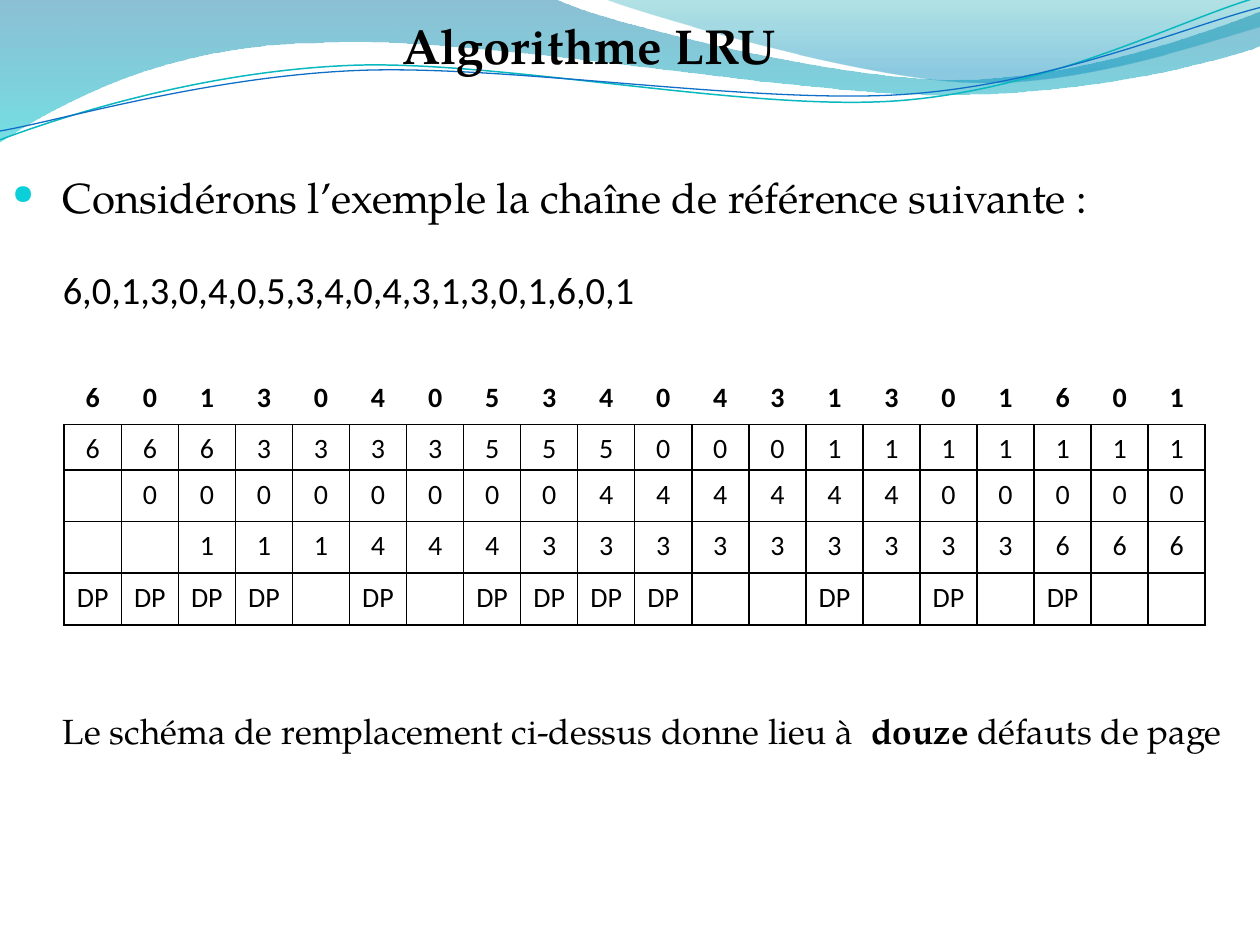
from dataclasses import dataclass

from lxml.etree import SubElement
from pptx import Presentation
from pptx.dml.color import RGBColor
from pptx.enum.text import MSO_ANCHOR, MSO_AUTO_SIZE, PP_ALIGN
from pptx.oxml.ns import qn
from pptx.util import Inches, Pt


@dataclass(frozen=True)
class Theme:
    """Colours, fonts and type sizes of the deck."""
    ink: str = "000000"
    bullet: str = "0BD0D9"
    teal_line: str = "0AB8BF"
    blue_line: str = "0F6FC6"
    left_wave: tuple = ((0, "0074A1", 45), (1, "00C6CF", 55))
    right_wave: tuple = ((0, "00A1A9", 30), (0.8, "008BBF", 45))
    serif: str = "TeX Gyre Pagella"
    sans: str = "Calibri"
    title_size: int = 28
    lead_size: int = 24
    string_size: int = 22
    note_size: int = 20
    cell_size: int = 16


LEFT_WAVE = [
    (0, -0.01), (4.4, -0.01),
    (4.76, 0.17, 6.64, 0.63, 7.58, 0.63), (8.53, 0.63, 9.58, 0.26, 10, 0.09),
    (10.01, 0.36),
    (9.83, 0.44, 8.7, 0.76, 7.46, 0.75), (6.22, 0.75, 3.82, 0.28, 2.57, 0.34),
    (1.29, 0.35, 0.46, 0.83, -0.01, 1.13),
]
RIGHT_WAVE = [
    (4.79, -0.01),
    (5.09, 0.11, 6.82, 0.62, 7.69, 0.65), (8.56, 0.69, 9.61, 0.32, 10, 0.21),
    (10, 0),
]
TEAL_CURVE = [
    (0, 1.11),
    (0.48, 0.93, 1.58, 0.57, 2.77, 0.52), (3.95, 0.47, 5.93, 0.89, 7.13, 0.8),
    (8.33, 0.71, 9.38, 0.15, 9.98, -0.02),
]
BLUE_CURVE = [
    (0, 1.04),
    (0.47, 0.96, 1.64, 0.61, 2.83, 0.56), (4.03, 0.51, 5.97, 0.83, 7.17, 0.75),
    (8.36, 0.67, 9.41, 0.21, 10, 0.06),
]
REFERENCES = "60130405340431301601"
FRAMES = [
    "66633335550001111111",
    " 0000000044444400000",
    "  111444333333333666",
]


def page_faults(frames):
    """Mark each step at which the content of the frames changes."""
    columns = list(zip(*frames))
    return ["DP" if now != before else " " for before, now in zip([None] + columns, columns)]


class SlideBuilder:
    """Holds the theme and the current page and draws its elements."""

    def __init__(self, page, theme):
        self.page = page
        self.theme = theme

    def add_span(self, para, text, font, size, bold=False):
        """Add one run of text."""
        span = para.add_run()
        span.text = text
        span.font.name = font
        span.font.size = Pt(size)
        span.font.bold = bold
        span.font.color.rgb = RGBColor.from_string(self.theme.ink)

    def add_outline(self, outline, closed):
        """Add a freeform whose six-number parts are cubic curves."""
        points = [(Inches(part[i]), Inches(part[i + 1]))
                  for part in outline for i in range(0, len(part), 2)]
        builder = self.page.shapes.build_freeform(*points[0], scale=1.0)
        builder.add_line_segments(points[1:], close=closed)
        shape = builder.convert_to_shape()
        shape.shadow.inherit = False
        segments = iter(list(shape.element.iter(qn("a:lnTo"))))
        for part in outline[1:]:
            first = next(segments)
            if len(part) == 6:
                curve = SubElement(first.getparent(), qn("a:cubicBezTo"))
                first.addprevious(curve)
                for segment in (first, next(segments), next(segments)):
                    curve.append(segment[0])
                    segment.getparent().remove(segment)
        return shape

    def add_wave(self, outline, stops):
        """Add a wave with a translucent gradient from top to bottom."""
        shape = self.add_outline(outline, True)
        shape.line.fill.background()
        shape.fill.gradient()
        shape.fill.gradient_angle = 270
        for stop, (position, color, _) in zip(shape.fill.gradient_stops, stops):
            stop.position = position
            stop.color.rgb = RGBColor.from_string(color)
        for node, (_, _, opacity) in zip(shape.element.iter(qn("a:srgbClr")), stops):
            SubElement(node, qn("a:alpha"), val=str(opacity * 1000))

    def add_curve(self, outline, color, width):
        """Add an open curved line."""
        shape = self.add_outline(outline, False)
        shape.fill.background()
        shape.line.color.rgb = RGBColor.from_string(color)
        shape.line.width = Pt(width)

    def add_title(self, text, left, top, width, height):
        """Place the title placeholder in front of the waves."""
        title = self.page.shapes.title
        self.page.shapes.element.append(title.element)
        title.left, title.top, title.width, title.height = map(Inches, (left, top, width, height))
        frame = title.text_frame
        frame.word_wrap = False
        frame.auto_size = MSO_AUTO_SIZE.NONE
        frame.vertical_anchor = MSO_ANCHOR.TOP
        para = frame.paragraphs[0]
        para.alignment = PP_ALIGN.CENTER
        para.line_spacing = Pt(41)
        self.add_span(para, text, self.theme.serif, self.theme.title_size, True)

    def add_body(self, paragraphs, left, top, width, height):
        """Add the body box; each paragraph is (space before, bullet, spans)."""
        box = self.page.shapes.add_textbox(*map(Inches, (left, top, width, height)))
        frame = box.text_frame
        frame.word_wrap = True
        for index, (before, bullet, spans) in enumerate(paragraphs):
            para = frame.add_paragraph() if index else frame.paragraphs[0]
            para.alignment = PP_ALIGN.JUSTIFY
            para.line_spacing = 1.5
            para.space_before = Pt(before)
            para.space_after = Pt(6)
            properties = para._p.get_or_add_pPr()
            properties.set("marL", str(Inches(0.4)))
            if bullet:
                properties.set("indent", str(Inches(-0.4)))
                color = SubElement(properties, qn("a:buClr"))
                SubElement(color, qn("a:srgbClr"), val=self.theme.bullet)
                SubElement(properties, qn("a:buSzPct"), val="65000")
                SubElement(properties, qn("a:buChar"), char="●")
            for span in spans:
                self.add_span(para, *span)

    def set_borders(self, cell, visible):
        """Draw the named sides of a cell and clear the others."""
        properties = cell._tc.get_or_add_tcPr()
        for side in ("lnL", "lnR", "lnT", "lnB"):
            line = SubElement(properties, qn(f"a:{side}"), w=str(Pt(1)))
            if side in visible:
                fill = SubElement(line, qn("a:solidFill"))
                SubElement(fill, qn("a:srgbClr"), val=self.theme.ink)
            else:
                SubElement(line, qn("a:noFill"))

    def add_grid(self, rows, left, top, width, heights):
        """Add the table, with an open bold row above a ruled grid."""
        shape = self.page.shapes.add_table(
            len(rows), len(rows[0]), *map(Inches, (left, top, width, sum(heights))))
        table = shape.table
        table.first_row = table.horz_banding = False
        for column in table.columns:
            column.width = Inches(width / len(rows[0]))
        for index, (values, height) in enumerate(zip(rows, heights)):
            table.rows[index].height = Inches(height)
            for cell, value in zip(table.rows[index].cells, values):
                cell.margin_left = cell.margin_right = Inches(0.05)
                cell.margin_top, cell.margin_bottom = Inches(0.06), Inches(0.02)
                self.set_borders(cell, ("lnL", "lnR", "lnT", "lnB") if index else ("lnB",))
                cell.fill.background()
                para = cell.text_frame.paragraphs[0]
                para.alignment = PP_ALIGN.CENTER
                if value.strip():
                    self.add_span(para, value, self.theme.sans, self.theme.cell_size, index == 0)


def main():
    """Build the slide and save it."""
    theme = Theme()
    deck = Presentation()
    deck.slide_width, deck.slide_height = Inches(10), Inches(7.5)
    slide = SlideBuilder(deck.slides.add_slide(deck.slide_layouts[5]), theme)
    slide.add_wave(LEFT_WAVE, theme.left_wave)
    slide.add_wave(RIGHT_WAVE, theme.right_wave)
    slide.add_curve(TEAL_CURVE, theme.teal_line, 0.85)
    slide.add_curve(BLUE_CURVE, theme.blue_line, 0.75)
    lead = "Considérons l’exemple la chaîne de référence suivante : "
    note = (theme.serif, theme.note_size)
    slide.add_body([
        (6, True, [(lead, theme.serif, theme.lead_size)]),
        (6, False, [(",".join(REFERENCES), theme.sans, theme.string_size)]),
        (209, False, [("Le schéma de remplacement ci-dessus donne lieu à  ", *note),
                      ("douze ", *note, True), ("défauts de page", *note)]),
    ], 0, 1.11, 10, 6.43)
    slide.add_title("Algorithme LRU", 3.08, -0.03, 3.19, 0.64)
    slide.add_grid([REFERENCES, *FRAMES, page_faults(FRAMES)],
                   0.51, 2.96, 9.06, [0.41, 0.36, 0.41, 0.41, 0.41])
    deck.save("out.pptx")


if __name__ == "__main__":
    main()
